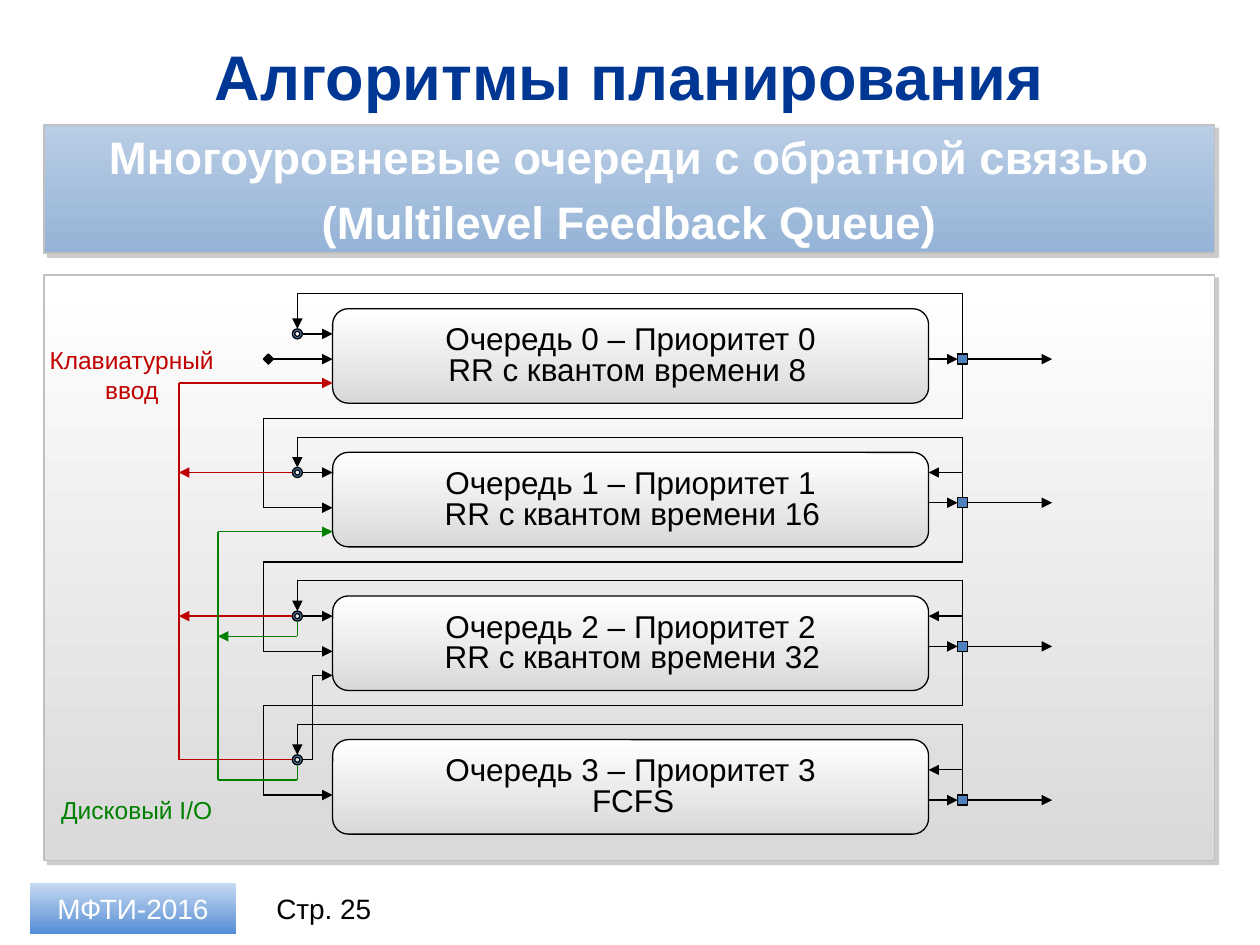
from dataclasses import dataclass
from itertools import pairwise

from lxml import etree
from pptx import Presentation
from pptx import util as u
from pptx.dml.color import RGBColor
from pptx.enum import shapes, text
from pptx.oxml import ns

BLACK = RGBColor(0x00, 0x00, 0x00)
WHITE = RGBColor(0xFF, 0xFF, 0xFF)
NAVY = RGBColor(0x00, 0x37, 0x94)
RED = RGBColor(0xC0, 0x00, 0x00)
GREEN = RGBColor(0x00, 0x80, 0x00)
BLUE = RGBColor(0x4F, 0x81, 0xBD)
SILVER = RGBColor(0xC0, 0xC0, 0xC0)
SHADOW = RGBColor(0x80, 0x80, 0x80)
GREY_FADE = (WHITE, RGBColor(0xD9, 0xD9, 0xD9))
HEADER_FADE = (RGBColor(0xB9, 0xCD, 0xE5), RGBColor(0x95, 0xB3, 0xD7))
FOOTER_FADE = (RGBColor(0xC6, 0xD9, 0xF1), RGBColor(0x8E, 0xB4, 0xE3), RGBColor(0x55, 0x8E, 0xD5))

# Vertical guides of the diagram, in inches
RED_X, GREEN_X, FEED_X, LOOP_X, STEP_X = 1.42, 1.73, 2.09, 2.36, 2.48
QUEUE_LEFT, QUEUE_RIGHT, EXIT_X, OUT_X = 2.64, 7.37, 7.64, 8.35
QUEUE_TOP, QUEUE_HEIGHT, PITCH = 2.45, 0.75, 1.14
NODE = 0.08
HALF = NODE / 2

Box = tuple[float, float, float, float]
Point = tuple[float, float]


@dataclass
class Queue:
    """One queue; offsets are measured down from the top of its box."""
    index: int
    policy: str
    policy_left: float = 3.43
    centred: bool = False
    loop: float = 0.16
    back: float | None = 0.16
    exit: float = 0.4

    @property
    def top(self) -> float:
        return QUEUE_TOP + PITCH * self.index

    @property
    def loop_y(self) -> float:
        return self.top + self.loop

    @property
    def exit_y(self) -> float:
        return self.top + self.exit


QUEUES = (
    Queue(0, "RR с квантом времени 8", policy_left=3.46, loop=0.2, back=None),
    Queue(1, "RR с квантом времени 16"),
    Queue(2, "RR с квантом времени 32"),
    Queue(3, "FCFS", centred=True, back=0.24, exit=0.48),
)


def write(shape, lines, size: float, color: RGBColor, bold=False, centred=True,
          anchor=text.MSO_ANCHOR.MIDDLE, insets: Box = (0.1, 0.05, 0.1, 0.05), after: float = 0):
    frame = shape.text_frame
    frame.word_wrap = True
    frame.auto_size = text.MSO_AUTO_SIZE.NONE
    frame.vertical_anchor = anchor
    frame.margin_left, frame.margin_top, frame.margin_right, frame.margin_bottom = map(u.Inches, insets)
    for number, line in enumerate(lines):
        paragraph = frame.add_paragraph() if number else frame.paragraphs[0]
        paragraph.alignment = text.PP_ALIGN.CENTER if centred else text.PP_ALIGN.LEFT
        paragraph.space_after = u.Pt(after)
        run = paragraph.add_run()
        run.text = line
        run.font.name = "Arial"
        run.font.size = u.Pt(size)
        run.font.bold = bold
        run.font.color.rgb = color


def add_label(slide, box: Box, words: str, size: float, color: RGBColor, **options):
    label = slide.shapes.add_textbox(*map(u.Inches, box))
    options.setdefault("anchor", text.MSO_ANCHOR.TOP)
    write(label, [words], size, color, **options)


def add_block(slide, kind, box: Box, fill, line: RGBColor | None = None, width: float = 0.75):
    """Draw a shape; a tuple of colours as fill fades from top to bottom."""
    shape = slide.shapes.add_shape(kind, *map(u.Inches, box))
    shape.shadow.inherit = False
    if isinstance(fill, RGBColor):
        shape.fill.solid()
        shape.fill.fore_color.rgb = fill
    else:
        shape.fill.gradient()
        shape.fill.gradient_angle = 270
        stops = shape._element.spPr.find(".//" + ns.qn("a:gsLst"))
        for stop in list(stops):
            stops.remove(stop)
        for number, color in enumerate(fill):
            position = 100000 * number // (len(fill) - 1)
            stop = etree.SubElement(stops, ns.qn("a:gs"), pos=str(position))
            etree.SubElement(stop, ns.qn("a:srgbClr"), val=str(color))
    if line is None:
        shape.line.fill.background()
    else:
        shape.line.color.rgb = line
        shape.line.width = u.Pt(width)
    return shape


def add_shadowed_panel(slide, box: Box, fill):
    panel = add_block(slide, shapes.MSO_SHAPE.RECTANGLE, box, fill, SILVER, 1)
    effects = panel._element.spPr.find(ns.qn("a:effectLst"))
    shadow = etree.SubElement(effects, ns.qn("a:outerShdw"), dist=str(u.Pt(3)), dir="2700000", algn="ctr")
    color = etree.SubElement(shadow, ns.qn("a:srgbClr"), val=str(SHADOW))
    etree.SubElement(color, ns.qn("a:alpha"), val="40000")
    return panel


def add_node(slide, kind, x: float, y: float, fill: RGBColor):
    return add_block(slide, kind, (x - HALF, y - HALF, NODE, NODE), fill, BLACK)


def add_route(slide, color: RGBColor, *points: Point, arrow=True):
    """Join the points with straight lines; the last one may end in an arrow."""
    for start, end in pairwise(points):
        connector = slide.shapes.add_connector(shapes.MSO_CONNECTOR.STRAIGHT, *map(u.Inches, start + end))
        connector.line.color.rgb = color
        connector.line.width = u.Pt(0.75)
        etree.SubElement(connector._element.spPr, ns.qn("a:effectLst"))
    if arrow:
        etree.SubElement(connector.line._get_or_add_ln(), ns.qn("a:tailEnd"), type="triangle")


def add_queue_box(slide, queue: Queue):
    box = (QUEUE_LEFT, queue.top, QUEUE_RIGHT - QUEUE_LEFT, QUEUE_HEIGHT)
    shape = add_block(slide, shapes.MSO_SHAPE.ROUNDED_RECTANGLE, box, GREY_FADE, BLACK)
    write(shape, [f"Очередь {queue.index} – Приоритет {queue.index}"], 18, BLACK,
          anchor=text.MSO_ANCHOR.TOP, insets=(0.1, 0.05, 0.1, 0.05))
    add_label(slide, (queue.policy_left, queue.top + 0.28, 3.19, 0.4), queue.policy, 18, BLACK,
              centred=queue.centred)


def add_queue_routes(slide, queue: Queue):
    exit_y, loop_y, return_y = queue.exit_y, queue.loop_y, queue.top - 0.12
    add_node(slide, shapes.MSO_SHAPE.RECTANGLE, EXIT_X, exit_y, BLUE)
    add_node(slide, shapes.MSO_SHAPE.DONUT, LOOP_X, loop_y, BLUE)
    add_route(slide, BLACK, (QUEUE_RIGHT, exit_y), (EXIT_X - HALF, exit_y))
    add_route(slide, BLACK, (EXIT_X + HALF, exit_y), (OUT_X, exit_y))
    add_route(slide, BLACK, (EXIT_X, exit_y - HALF), (EXIT_X, return_y), (LOOP_X, return_y),
              (LOOP_X, loop_y - HALF))
    if queue.back is not None:
        back_y = queue.top + queue.back
        add_route(slide, BLACK, (EXIT_X, exit_y - HALF), (EXIT_X, back_y), (QUEUE_RIGHT, back_y))
    if queue is not QUEUES[-1]:
        down_y, feed_y = queue.top + 0.87, queue.top + PITCH + 0.44
        add_route(slide, BLACK, (LOOP_X + HALF, loop_y), (QUEUE_LEFT, loop_y))
        add_route(slide, BLACK, (EXIT_X, exit_y + HALF), (EXIT_X, down_y), (FEED_X, down_y),
                  (FEED_X, feed_y), (QUEUE_LEFT, feed_y))


def add_promotions(slide):
    first, second, third, last = QUEUES
    # Keyboard input lifts a process to queue 0
    keyboard_y = first.top + 0.59
    add_route(slide, RED, (LOOP_X - HALF, last.loop_y), (RED_X, last.loop_y), (RED_X, keyboard_y),
              (QUEUE_LEFT, keyboard_y))
    for queue in (second, third):
        add_route(slide, RED, (LOOP_X - HALF, queue.loop_y), (RED_X, queue.loop_y))
    add_label(slide, (0.12, 2.69, 1.85, 0.57), "Клавиатурный ввод", 14, RED)
    # Disk I/O lifts a process to queue 1
    disk_y, last_y, third_y = second.top + 0.63, last.loop_y + 0.16, third.loop_y + 0.16
    add_route(slide, GREEN, (LOOP_X, last.loop_y + HALF), (LOOP_X, last_y), (GREEN_X, last_y),
              (GREEN_X, disk_y), (QUEUE_LEFT, disk_y))
    add_route(slide, GREEN, (LOOP_X, third.loop_y + HALF), (LOOP_X, third_y), (GREEN_X, third_y))
    add_label(slide, (0.16, 6.26, 1.85, 0.33), "Дисковый I/O", 14, GREEN)
    # Step from queue 3 up to queue 2
    step_y = third.top + 0.63
    add_route(slide, BLACK, (LOOP_X + HALF, last.loop_y), (STEP_X, last.loop_y), (STEP_X, step_y),
              (QUEUE_LEFT, step_y))


def main():
    presentation = Presentation()
    presentation.slide_width, presentation.slide_height = u.Inches(10), u.Inches(7.5)
    slide = presentation.slides.add_slide(presentation.slide_layouts[5])

    # Title, footer and header
    title = slide.shapes.title
    title.left, title.top, title.width, title.height = map(u.Inches, (0.35, 0.26, 9.29, 0.68))
    write(title, ["Алгоритмы планирования"], 36, NAVY, bold=True)
    add_label(slide, (2.03, 7.01, 1.08, 0.4), "Стр. 25", 16, BLACK,
              anchor=text.MSO_ANCHOR.MIDDLE, insets=(0, 0, 0, 0))
    footer = add_block(slide, shapes.MSO_SHAPE.RECTANGLE, (0.24, 7.01, 1.63, 0.4), FOOTER_FADE)
    write(footer, ["МФТИ-2016"], 16, WHITE)
    header = add_shadowed_panel(slide, (0.35, 0.99, 9.29, 1.02), HEADER_FADE)
    write(header, ["Многоуровневые очереди с обратной связью", "(Multilevel Feedback Queue)"], 26, WHITE,
          bold=True, insets=(0.24, 0.04, 0.24, 0.04), after=6)

    # Queue diagram
    add_shadowed_panel(slide, (0.35, 2.18, 9.29, 4.65), GREY_FADE)
    for queue in QUEUES:
        add_queue_box(slide, queue)
    add_node(slide, shapes.MSO_SHAPE.DIAMOND, FEED_X + HALF, QUEUES[0].exit_y, BLACK)
    add_route(slide, BLACK, (FEED_X + NODE, QUEUES[0].exit_y), (QUEUE_LEFT, QUEUES[0].exit_y))
    for queue in QUEUES:
        add_queue_routes(slide, queue)
    add_promotions(slide)

    presentation.save("out.pptx")


if __name__ == "__main__":
    main()
